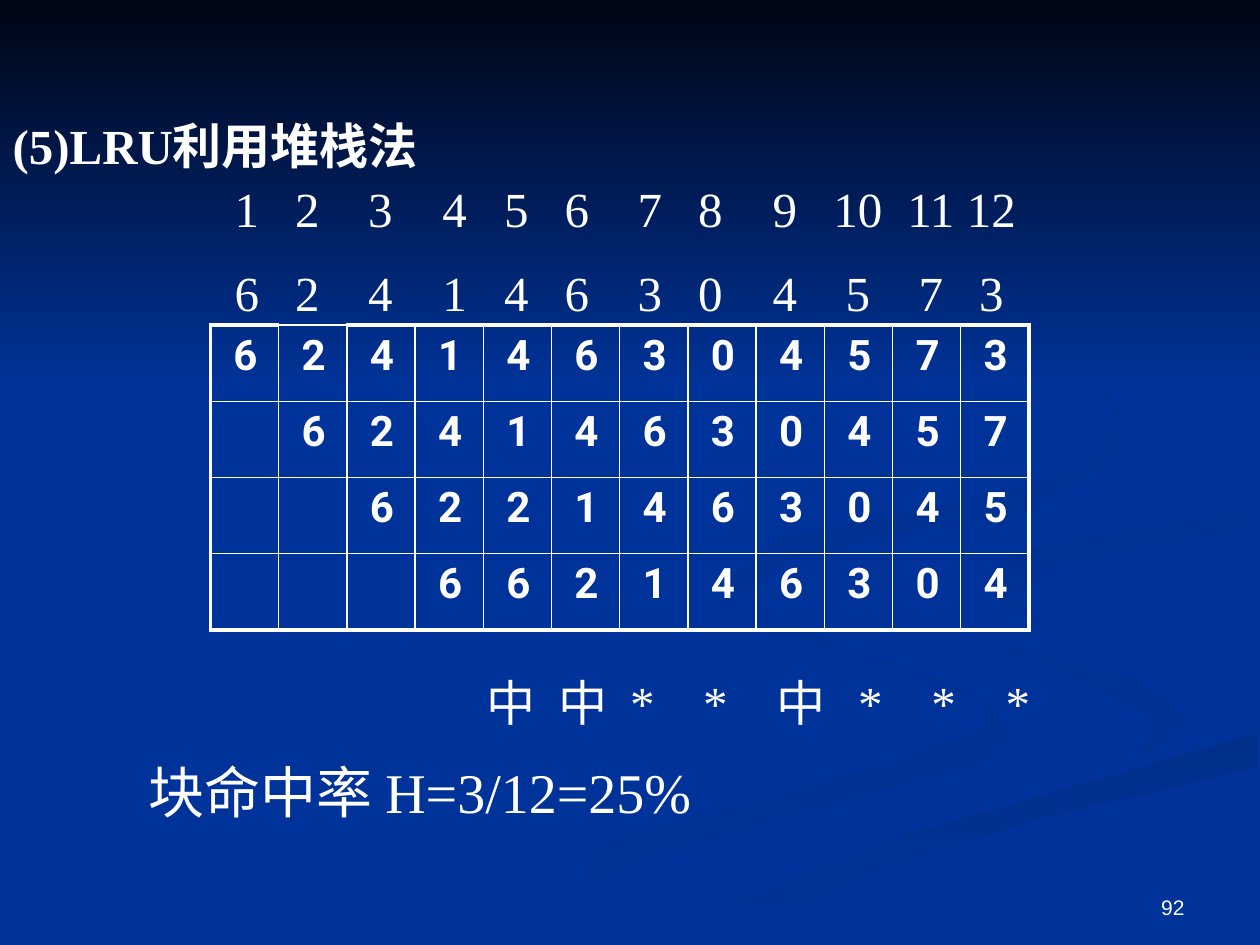
from lxml.etree import SubElement
from pptx import Presentation
from pptx.dml.color import RGBColor
from pptx.enum.shapes import MSO_SHAPE
from pptx.enum.text import MSO_ANCHOR, PP_ALIGN
from pptx.oxml.ns import qn
from pptx.util import Pt

PX = 9144  # EMU per px, 100 px to the inch
WHITE, BLUE = "FFFFFF", "003399"
SERIF = "Times New Roman"

REFERENCES = [6, 2, 4, 1, 4, 6, 3, 0, 4, 5, 7, 3]
STACK_SIZE = 4
COLUMN_TABS = [19, 67, 125, 184, 233, 281, 339, 387, 446, 504, 562, 610]
HIT_TABS = [71, 128, 175, 233, 301, 356, 414, 473]

# Each wave: first colour, last colour, gradient angle, outline
WAVES = [
    (BLUE, "003193", 0, [
        (781, 553), (682, 519), (594, 485), (575, 459), (576, 480), (654, 513),
        (781, 556), (780, 579), (699, 609), (499, 661), (300, 749), (361, 749),
        (499, 687), (676, 634), (780, 605), (800, 581)]),
    (BLUE, "003193", 45, [
        (943, 570), (905, 540), (792, 509), (733, 483), (724, 464), (739, 494),
        (854, 539), (911, 567), (917, 585), (894, 605), (932, 589)]),
    ("002F8C", BLUE, 90, [
        (503, 749), (571, 749), (695, 692), (821, 651), (998, 609), (998, 581),
        (867, 620), (696, 669), (569, 719)]),
    (BLUE, BLUE, 0, [
        (725, 464), (759, 498), (905, 540), (943, 570), (911, 600), (704, 655),
        (477, 749), (503, 749), (696, 669), (999, 581), (999, 538), (848, 503),
        (781, 463), (822, 434), (999, 402), (999, 387), (770, 427)]),
    ("003091", BLUE, 45, [
        (781, 460), (791, 478), (826, 496), (805, 472), (843, 448), (998, 420),
        (998, 402), (849, 427), (799, 442)]),
    ("002F8E", BLUE, 45, [
        (683, 430), (825, 402), (889, 362), (890, 324), (843, 275), (762, 233),
        (846, 279), (889, 335), (861, 370), (763, 398), (615, 429), (577, 462),
        (622, 500), (593, 470), (624, 444)]),
]


def px(n):
    return n * PX


def rgb(colour):
    return RGBColor.from_string(colour)


def place(sp, left, top, width, height):
    sp.left, sp.top, sp.width, sp.height = map(px, (left, top, width, height))


def paint_gradient(sp, first, last, angle):
    sp.shadow.inherit = False
    sp.line.fill.background()
    sp.fill.gradient()
    sp.fill.gradient_angle = -angle % 360
    for stop, colour in zip(sp.fill.gradient_stops, (first, last)):
        stop.color.rgb = rgb(colour)


def add_wave(s, first, last, angle, points):
    builder = s.shapes.build_freeform(*points[0], scale=PX)
    builder.add_line_segments(points[1:], close=True)
    paint_gradient(builder.convert_to_shape(), first, last, angle)


def add_run(p, text, size, font=SERIF, bold=False):
    r = p.add_run()
    r.text = text
    r.font.size, r.font.name, r.font.bold = Pt(size), font, bold
    r.font.color.rgb = rgb(WHITE)


def add_tabs(p, positions):
    """Centre the tabbed items of a paragraph on the given positions."""
    tabs = SubElement(p._p.get_or_add_pPr(), qn("a:tabLst"))
    for position in positions:
        SubElement(tabs, qn("a:tab"), pos=str(px(position)), algn="ctr")


def add_text(s, box, lines, size, tabs=(), font=SERIF):
    sp = s.shapes.add_textbox(*map(px, box))
    tf = sp.text_frame
    tf.word_wrap = True
    for i, line in enumerate(lines):
        p = tf.add_paragraph() if i else tf.paragraphs[0]
        if i:
            p.space_before = Pt(size / 2)
        if tabs:
            add_tabs(p, tabs)
        add_run(p, line, size, font)
    return sp


def add_title(s, text):
    title = s.shapes.title
    place(title, 0, 87, 367, 57)
    s.shapes._spTree.append(title._element)  # in front of the waves
    tf = title.text_frame
    tf.vertical_anchor = MSO_ANCHOR.TOP
    p = tf.paragraphs[0]
    p.alignment = PP_ALIGN.LEFT
    add_run(p, text, 28, bold=True)


def tabbed(items):
    return "".join(f"\t{item}" for item in items)


def lru_stacks():
    """Return the stack after each reference, and whether each was a hit."""
    stack, stacks, hits = [], [], []
    for page in REFERENCES:
        hits.append(page in stack)
        stack = [page] + [other for other in stack if other != page]
        stack = stack[:STACK_SIZE]
        stacks.append(stack)
    return stacks, hits


def set_borders(cell, widths):
    tcPr = cell._tc.get_or_add_tcPr()
    for side, width in zip("LRTB", widths):
        ln = SubElement(tcPr, qn(f"a:ln{side}"), w=str(int(Pt(width))))
        fill = SubElement(ln, qn("a:solidFill"))
        SubElement(fill, qn("a:srgbClr"), val=WHITE)


def add_stack_table(s, stacks):
    columns = len(stacks)
    table = s.shapes.add_table(STACK_SIZE, columns, px(167), px(258), px(650), px(242)).table
    for row in range(STACK_SIZE):
        for col, stack in enumerate(stacks):
            cell = table.cell(row, col)
            outer = (col == 0, col == columns - 1,
                     row == 0 and col != 1, row == STACK_SIZE - 1)
            set_borders(cell, [2.25 if edge else 1 for edge in outer])
            cell.fill.background()
            if row < len(stack):
                add_run(cell.text_frame.paragraphs[0], f" {stack[row]}", 24, "Roboto", True)


def main():
    prs = Presentation()
    prs.slide_width, prs.slide_height = px(1000), px(750)
    s = prs.slides.add_slide(prs.slide_layouts[5])
    s.background.fill.solid()
    s.background.fill.fore_color.rgb = rgb(BLUE)
    for wave in WAVES:
        add_wave(s, *wave)
    sky = s.shapes.add_shape(MSO_SHAPE.RECTANGLE, 0, 0, px(1000), px(308))
    paint_gradient(sky, "000514", BLUE, 90)

    number = add_text(s, (717, 683, 233, 52), ["92"], 12, font="Arial")
    number.text_frame.vertical_anchor = MSO_ANCHOR.BOTTOM
    number.text_frame.paragraphs[0].alignment = PP_ALIGN.RIGHT

    stacks, hits = lru_stacks()
    add_stack_table(s, stacks)
    steps = range(1, len(REFERENCES) + 1)
    add_text(s, (167, 137, 667, 127), [tabbed(steps), tabbed(REFERENCES)], 28, COLUMN_TABS)
    marks = ["中" if hit else "*" for hit in hits[STACK_SIZE:]]
    add_text(s, (325, 529, 533, 57), [tabbed(marks)], 28, HIT_TABS)
    add_title(s, "(5)LRU利用堆栈法")
    add_text(s, (108, 596, 742, 63), ["块命中率 H=3/12=25%"], 32)
    prs.save("out.pptx")


if __name__ == "__main__":
    main()
